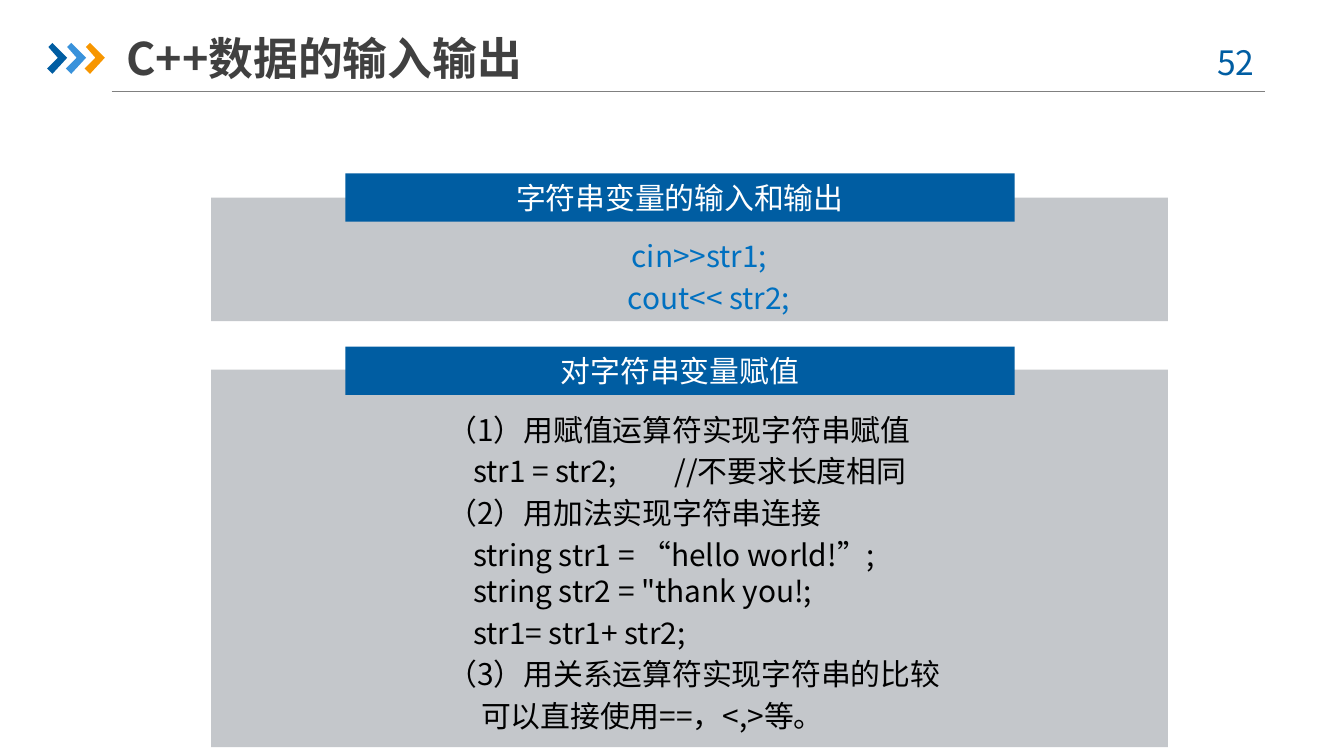
from lxml.etree import SubElement
from pptx import Presentation
from pptx.dml.color import RGBColor
from pptx.enum.shapes import MSO_CONNECTOR, MSO_SHAPE
from pptx.enum.text import MSO_ANCHOR, PP_ALIGN
from pptx.oxml.ns import qn
from pptx.util import Inches, Pt

FONT = "Noto Sans CJK SC"
COLORS = {
    "blue": "005DA2",
    "light_blue": "3992DB",
    "orange": "F79600",
    "code": "0070C0",
    "panel": "C4C7CB",
    "rule": "808080",
    "title": "404040",
    "black": "000000",
    "white": "FFFFFF",
}
INSETS = (0.08, 0.04)


def color(name):
    return RGBColor.from_string(COLORS[name])


def fill_shape(sp, name):
    sp.fill.solid()
    sp.fill.fore_color.rgb = color(name)
    sp.line.fill.background()
    sp.shadow.inherit = False


def set_layout(p, indent, tab):
    """Set the left margin and an optional tab stop, in inches."""
    pPr = p._p.get_or_add_pPr()
    pPr.set("marL", str(Inches(indent)))
    pPr.set("indent", "0")
    if tab:
        tabs = SubElement(pPr, qn("a:tabLst"))
        SubElement(tabs, qn("a:tab"), pos=str(Inches(tab)), algn="l")


def write(sp, lines, size=16, ink="black", bold=False, align=PP_ALIGN.LEFT,
          anchor=MSO_ANCHOR.TOP, insets=INSETS, gap=3.2):
    """Write lines given as (text, indent, tab) with the last two optional."""
    tf = sp.text_frame
    tf.word_wrap = True
    tf.vertical_anchor = anchor
    tf.margin_left = tf.margin_right = Inches(insets[0])
    tf.margin_top = tf.margin_bottom = Inches(insets[1])
    for i, (text, *layout) in enumerate(lines):
        p = tf.add_paragraph() if i else tf.paragraphs[0]
        indent, tab = (layout + [0, 0])[:2]
        p.text = text
        p.alignment = align
        if i:
            p.space_before = Pt(gap)
        set_layout(p, indent, tab)
        for r in p.runs:
            r.font.size = Pt(size)
            r.font.bold = bold
            r.font.name = FONT
            r.font.color.rgb = color(ink)
            SubElement(r._r.get_or_add_rPr(), qn("a:ea"), typeface=FONT)


def add_text(s, box, lines, **style):
    write(s.shapes.add_textbox(*map(Inches, box)), lines, **style)


def add_rect(s, box, name):
    sp = s.shapes.add_shape(MSO_SHAPE.RECTANGLE, *map(Inches, box))
    fill_shape(sp, name)
    return sp


def add_panel(s, bar_top, top, height, heading):
    """Add a grey panel with a heading bar across its top edge."""
    add_rect(s, (1.57, top, 7.12, height), "panel")
    bar = add_rect(s, (2.57, bar_top, 4.98, 0.36), "blue")
    write(bar, [(heading,)], ink="white", align=PP_ALIGN.CENTER,
          anchor=MSO_ANCHOR.MIDDLE)


def add_chevron(s, left, name):
    points = [(0.01, 0.03), (0.04, 0), (0.15, 0.11), (0.04, 0.23),
              (0, 0.19), (0.08, 0.11)]
    outline = [(Inches(left + x), Inches(0.32 + y)) for x, y in points]
    builder = s.shapes.build_freeform(*outline[0])
    builder.add_line_segments(outline[1:], close=True)
    fill_shape(builder.convert_to_shape(), name)


def add_rule(s, left, right, y):
    line = s.shapes.add_connector(
        MSO_CONNECTOR.STRAIGHT, *map(Inches, (left, y, right, y)))
    line.line.color.rgb = color("rule")
    line.line.width = Pt(0.75)
    SubElement(line._element.spPr, qn("a:effectLst"))


def add_header(s):
    add_rule(s, 0.83, 9.41, 0.68)
    for i, name in enumerate(("blue", "light_blue", "orange")):
        add_chevron(s, 0.35 + 0.14 * i, name)
    add_text(s, (8.86, 0.26, 0.73, 0.4), [("52 ",)], size=18, ink="blue",
             align=PP_ALIGN.CENTER, insets=(0.1, 0.05))
    add_text(s, (0.94, 0.22, 4.69, 0.42), [("C++数据的输入输出",)], size=24,
             ink="title", bold=True, anchor=MSO_ANCHOR.MIDDLE,
             insets=(0, 0.05))


def main():
    prs = Presentation()
    prs.slide_width = Inches(10)
    prs.slide_height = prs.slide_width * 9 // 16
    s = prs.slides.add_slide(prs.slide_layouts[6])
    add_header(s)

    add_panel(s, 1.29, 1.47, 0.92, "字符串变量的输入和输出")
    add_text(s, (1.72, 1.73, 6.97, 0.67),
             [("cin>>str1;",), ("cout<< str2;", 0.14)],
             ink="code", align=PP_ALIGN.CENTER)

    add_panel(s, 2.58, 2.75, 2.81, "对字符串变量赋值")
    add_text(s, (3.25, 3.02, 4.96, 2.55), [
        ("（1）用赋值运算符实现字符串赋值",),
        ("str1 = str2;\t//不要求长度相同", 0.19, 1.93),
        ("（2）用加法实现字符串连接",),
        ("string str1 = “hello world!”;\vstring str2 = \"thank you!;", 0.19),
        ("str1= str1+ str2;", 0.19),
        ("（3）用关系运算符实现字符串的比较",),
        ("可以直接使用==，<,>等。", 0.25),
    ])

    prs.save("out.pptx")


if __name__ == "__main__":
    main()
